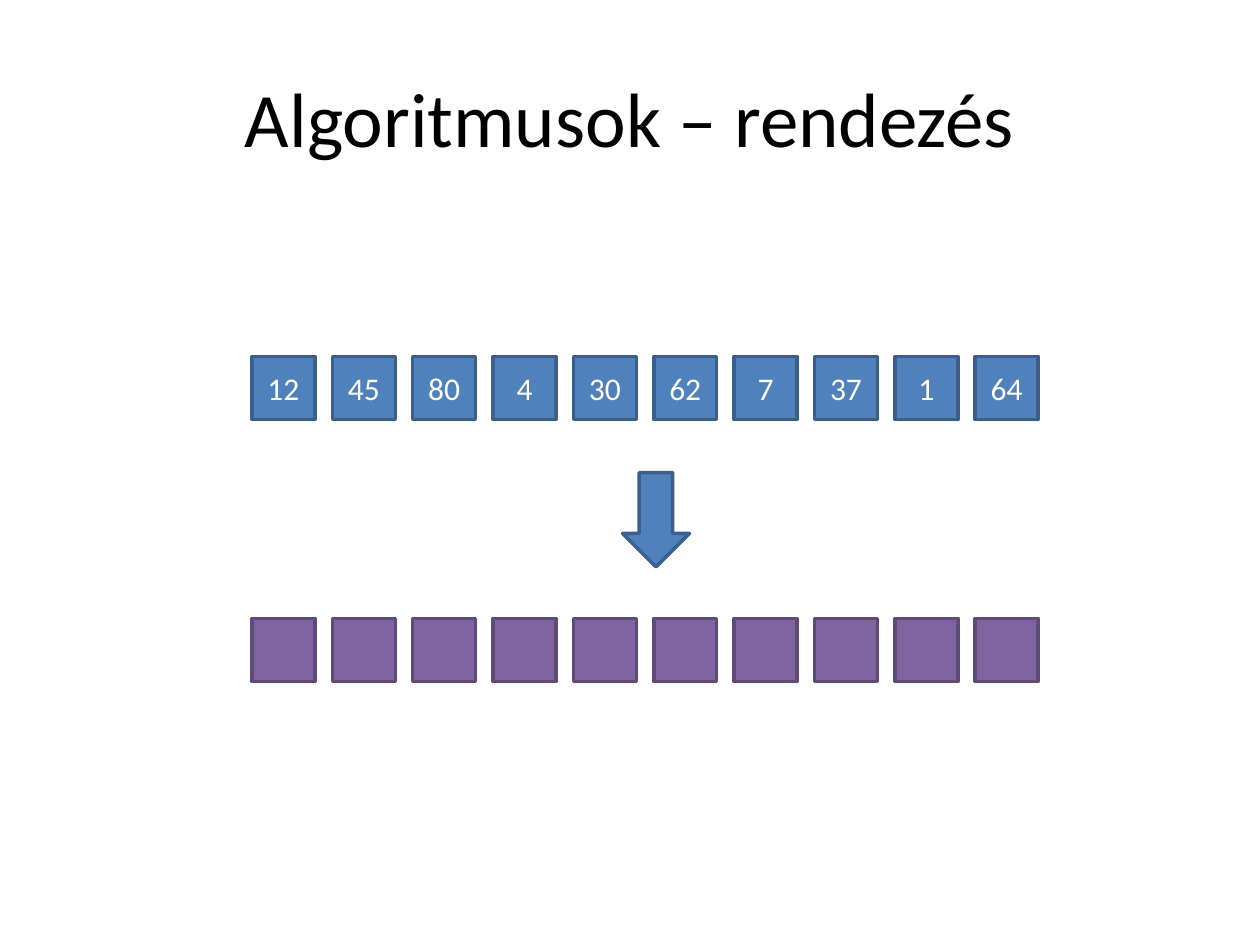
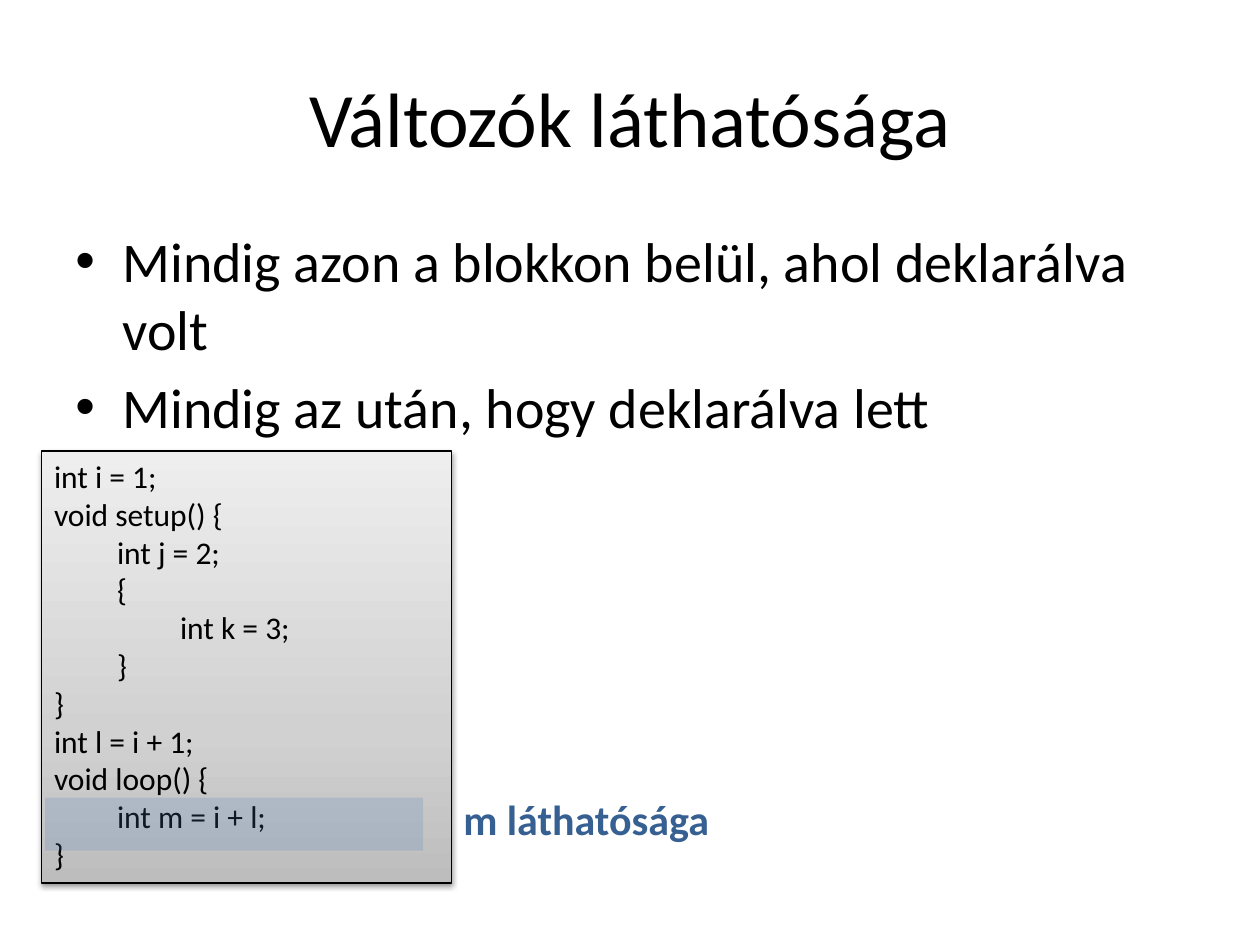
from dataclasses import dataclass, field
from itertools import zip_longest

from lxml.etree import SubElement
from pptx import Presentation
from pptx.dml.color import RGBColor as Rgb
from pptx.enum.shapes import MSO_SHAPE as Preset
from pptx.enum.text import MSO_ANCHOR as Anchor, MSO_AUTO_SIZE as AutoSize, PP_ALIGN as Align
from pptx.oxml.ns import qn
from pptx.shapes.autoshape import Shape
from pptx.slide import Slide
from pptx.util import Cm, Pt


@dataclass(frozen=True)
class Theme:
    font: str = "Calibri"
    black: str = "000000"
    white: str = "FFFFFF"
    blue: str = "4F81BD"
    blue_edge: str = "3A5F8C"
    purple: str = "8064A2"
    purple_edge: str = "5F4A78"
    label_blue: str = "376092"
    panel_stops: tuple = ((0, "BDBDBD"), (35, "D1D1D1"), (100, "EEEEEE"))
    title_size: float = 44
    body_size: float = 32
    label_size: float = 24
    small_size: float = 18
    edge_width: float = 2
    panel_edge_width: float = 0.75


THEME = Theme()


@dataclass(frozen=True)
class Area:
    """A rectangle on the page, in centimetres."""
    left: float
    top: float
    width: float
    height: float

    def lengths(self) -> tuple[Cm, Cm, Cm, Cm]:
        return Cm(self.left), Cm(self.top), Cm(self.width), Cm(self.height)


@dataclass(frozen=True)
class TextStyle:
    size: float
    color: str = THEME.black
    align: Align = Align.LEFT
    anchor: Anchor = Anchor.TOP
    bold: bool = False
    bullet: bool = False
    wrap: bool = True
    grow: bool = False


@dataclass(frozen=True)
class CellRow:
    """Ten equal cells, of which some may hold a number."""
    top: float
    fill: str
    edge: str
    numbers: list[str] = field(default_factory=list)


TITLE = TextStyle(THEME.title_size, align=Align.CENTER, anchor=Anchor.MIDDLE)
BODY = TextStyle(THEME.body_size, bullet=True)
CELL = TextStyle(THEME.small_size, THEME.white, Align.CENTER, Anchor.MIDDLE)
CODE = TextStyle(THEME.small_size, grow=True)
LABEL = TextStyle(THEME.label_size, THEME.label_blue, bold=True, wrap=False, grow=True)

TITLE_AREA = Area(1.27, 0.76, 22.86, 3.18)
BODY_AREA = Area(1.27, 4.45, 22.86, 12.57)

# Sorting row grid
CELL_COUNT, CELL_LEFT, CELL_SIDE, CELL_PITCH = 10, 5.08, 1.27, 1.62
CELL_ROWS = [
    CellRow(7.19, THEME.blue, THEME.blue_edge,
            ["12", "45", "80", "4", "30", "62", "7", "37", "1", "64"]),
    CellRow(12.47, THEME.purple, THEME.purple_edge),
]

BULLETS = ["Mindig azon a blokkon belül, ahol deklarálva volt",
           "Mindig az után, hogy deklarálva lett"]
CODE_LINES = ["int i = 1;", "void setup() {", "\tint j = 2;", "\t{", "\t\tint k = 3;",
              "\t}", "}", "int l = i + 1;", "void loop() {", "\tint m = i + l;", "}"]


def write(box: Shape, lines: list[str], style: TextStyle) -> None:
    frame = box.text_frame
    frame.word_wrap = style.wrap
    frame.vertical_anchor = style.anchor
    frame.auto_size = AutoSize.SHAPE_TO_FIT_TEXT if style.grow else AutoSize.NONE
    for index, line in enumerate(lines):
        para = frame.add_paragraph() if index else frame.paragraphs[0]
        para.alignment = style.align
        if style.bullet:
            add_bullet(para)
        span = para.add_run()
        span.text = line
        span.font.name = THEME.font
        span.font.size = Pt(style.size)
        span.font.bold = style.bold
        span.font.color.rgb = Rgb.from_string(style.color)


def add_bullet(para) -> None:
    para.space_before = Pt(THEME.body_size * 0.2)
    settings = para._p.get_or_add_pPr()
    settings.set("marL", str(Cm(0.95)))
    settings.set("indent", str(-Cm(0.95)))
    SubElement(settings, qn("a:buFont"), typeface="Arial")
    SubElement(settings, qn("a:buChar"), char="•")


def add_text(page: Slide, area: Area, lines: list[str], style: TextStyle) -> None:
    write(page.shapes.add_textbox(*area.lengths()), lines, style)


def add_block(page: Slide, area: Area, fill: str, edge: str | None = None,
              preset: Preset = Preset.RECTANGLE, width: float = THEME.edge_width) -> Shape:
    block = page.shapes.add_shape(preset, *area.lengths())
    block.shadow.inherit = False
    block.fill.solid()
    block.fill.fore_color.rgb = Rgb.from_string(fill)
    if edge:
        block.line.color.rgb = Rgb.from_string(edge)
        block.line.width = Pt(width)
    else:
        block.line.fill.background()
    return block


def add_color(parent, color: str, opacity: int | None = None) -> None:
    tint = SubElement(parent, qn("a:srgbClr"), val=color)
    if opacity is not None:
        SubElement(tint, qn("a:alpha"), val=str(opacity * 1000))


def shade_panel(panel: Shape) -> None:
    """Give the panel its three-step gradient and soft drop shadow."""
    panel.fill.gradient()
    panel.fill.gradient_angle = 90
    stops = next(panel.element.iter(qn("a:gsLst")))
    for stop in list(stops):
        stops.remove(stop)
    for percent, color in THEME.panel_stops:
        add_color(SubElement(stops, qn("a:gs"), pos=str(percent * 1000)), color)
    effects = next(panel.element.iter(qn("a:effectLst")))
    shadow = SubElement(effects, qn("a:outerShdw"), blurRad=str(Pt(3.1)), dist=str(Pt(1.6)),
                        dir="5400000", rotWithShape="0")
    add_color(shadow, THEME.black, 38)


def add_page(deck, title: str) -> Slide:
    page = deck.slides.add_slide(deck.slide_layouts[6])
    add_text(page, TITLE_AREA, [title], TITLE)
    return page


def add_cells(page: Slide, row: CellRow) -> None:
    for index, number in zip_longest(range(CELL_COUNT), row.numbers):
        area = Area(CELL_LEFT + index * CELL_PITCH, row.top, CELL_SIDE, CELL_SIDE)
        cell = add_block(page, area, row.fill, row.edge)
        if number:
            write(cell, [number], CELL)


def build_sorting(deck) -> None:
    page = add_page(deck, "Algoritmusok – rendezés")
    for row in CELL_ROWS:
        add_cells(page, row)
    add_block(page, Area(12.55, 9.53, 1.35, 1.9), THEME.blue, THEME.blue_edge, Preset.DOWN_ARROW)


def build_visibility(deck) -> None:
    page = add_page(deck, "Változók láthatósága")
    add_text(page, BODY_AREA, BULLETS, BODY)
    # Code listing
    panel = add_block(page, Area(0.84, 9.09, 8.26, 8.71), THEME.white, THEME.black,
                      width=THEME.panel_edge_width)
    shade_panel(panel)
    write(panel, CODE_LINES, CODE)
    # Scope highlight and its label
    scope = add_block(page, Area(0.91, 16.08, 7.62, 1.07), THEME.blue)
    tint = next(scope.element.spPr.iter(qn("a:srgbClr")))
    SubElement(tint, qn("a:alpha"), val="20000")
    add_text(page, Area(9.09, 15.88, 5.51, 1.27), ["m láthatósága"], LABEL)


def main() -> None:
    deck = Presentation()
    deck.slide_width, deck.slide_height = Cm(25.4), Cm(19.05)
    build_sorting(deck)
    build_visibility(deck)
    deck.save("out.pptx")


if __name__ == "__main__":
    main()
